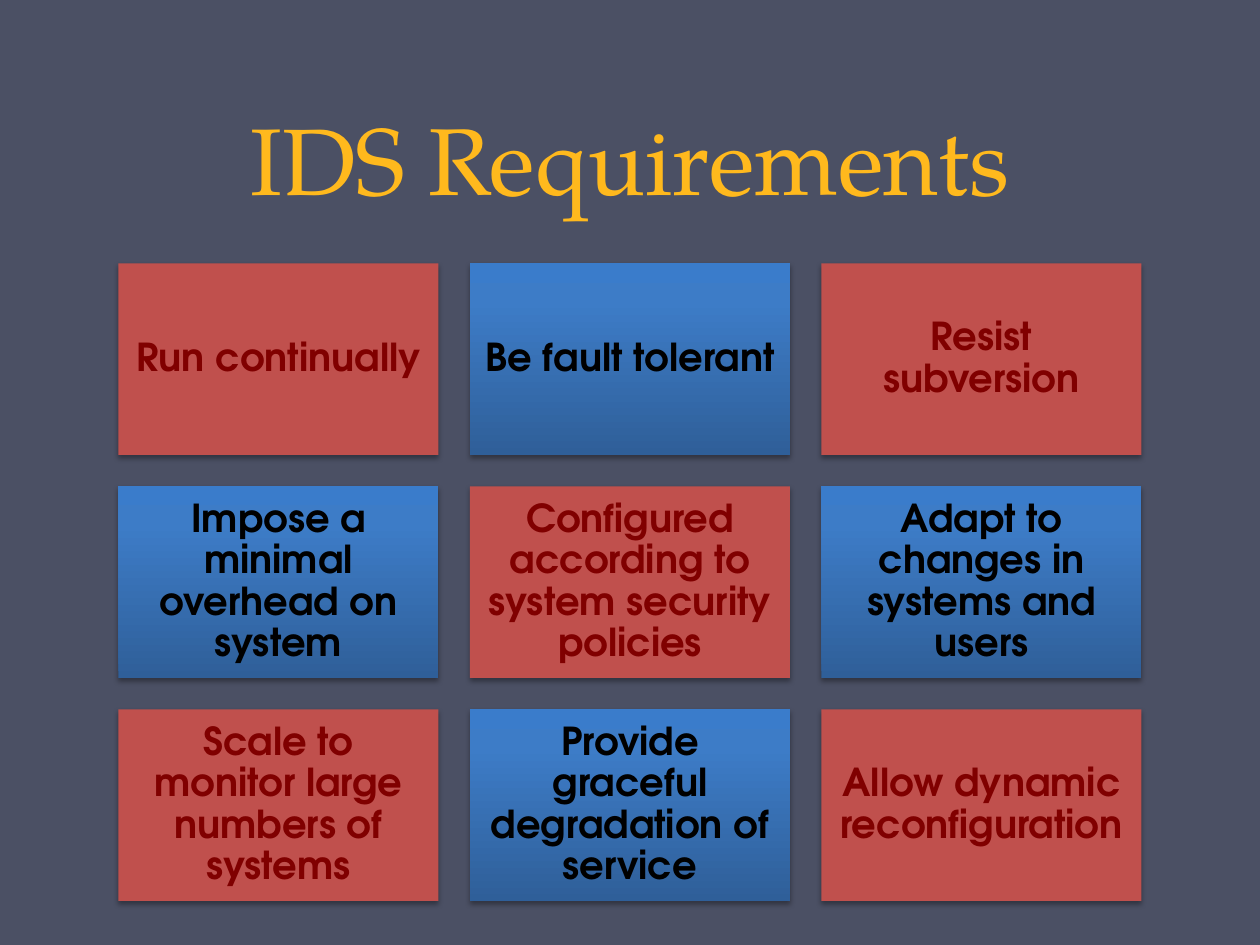
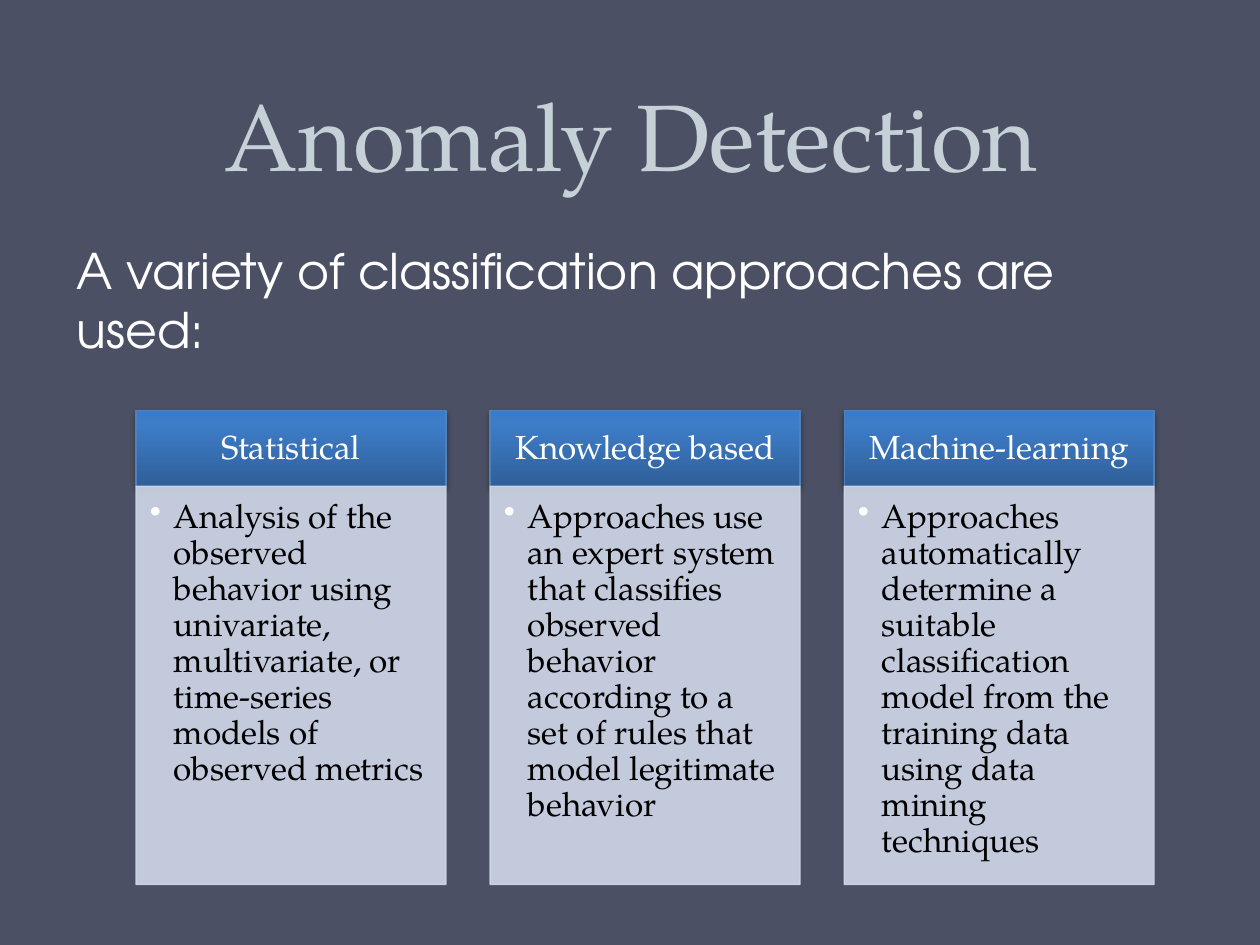
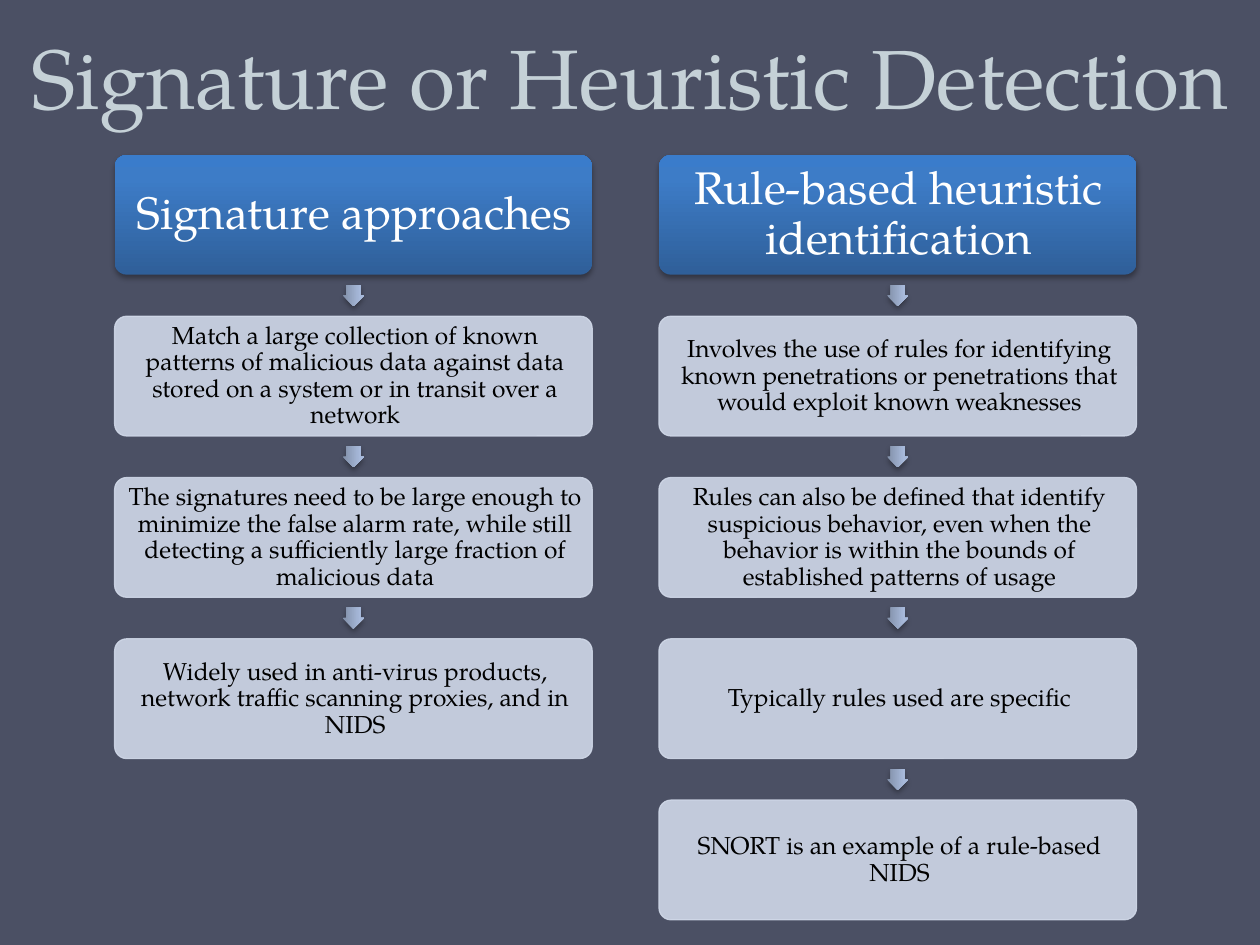
import pptx
import pptx.util
import pptx.dml.color
import pptx.enum.shapes
import pptx.enum.text
import pptx.oxml
import pptx.oxml.ns

Inches, Pt = pptx.util.Inches, pptx.util.Pt
RGB = pptx.dml.color.RGBColor.from_string
SHAPE = pptx.enum.shapes.MSO_SHAPE
ALIGN, ANCHOR = pptx.enum.text.PP_ALIGN, pptx.enum.text.MSO_ANCHOR
qn, nsdecls = pptx.oxml.ns.qn, pptx.oxml.ns.nsdecls

SERIF, SANS = "TeX Gyre Pagella", "TeX Gyre Adventor"
DEFAULT_INSETS = (0.1, 0.05, 0.1, 0.05)
CENTRED = {"align": ALIGN.CENTER, "anchor": ANCHOR.MIDDLE, "spacing": 0.9}
TITLE = {"align": ALIGN.CENTER, "anchor": ANCHOR.BOTTOM, "spacing": Pt(20.5), "insets": DEFAULT_INSETS}
TILE = {**CENTRED, "insets": (0.09,) * 4, "font": {"name": SANS, "size": Pt(22), "bold": True}}

THEME = {
    "background": "4B5064",
    "white": "FFFFFF",
    # A fill is a plain colour, or the stops of a gradient running upwards
    "fills": {
        "red": "C0504D",
        "blue": ((0, "2F5F99"), (80, "3D7CC7"), (100, "3A7CCB")),
        "arrow": ((0, "818FA8"), (80, "A7B9DA"), (100, "A7BADC")),
        "pale": "D0D8E8",
    },
    "header line": "4F81BD",
    "text": {
        "gold title": {**TITLE, "color": "FFB91D", "font": {"name": SERIF, "size": Pt(54)}},
        "title": {**TITLE, "color": "C5D1D7", "font": {"name": SERIF, "size": Pt(54)}},
        "long title": {**TITLE, "color": "C5D1D7", "font": {"name": SERIF, "size": Pt(48)}},
        "intro": {"align": ALIGN.LEFT, "anchor": ANCHOR.TOP, "spacing": 1.0, "insets": DEFAULT_INSETS,
                  "color": "FFFFFF", "font": {"name": SANS, "size": Pt(28)}},
        "red": {**TILE, "color": "800000"},
        "blue": {**TILE, "color": "000000"},
        "column header": {**CENTRED, "insets": (0.15, 0.08, 0.15, 0.08), "color": "FFFFFF",
                          "font": {"name": SERIF, "size": Pt(19)}},
        "column body": {"align": ALIGN.LEFT, "anchor": ANCHOR.TOP, "spacing": 0.9,
                        "insets": (0.11, 0.11, 0.15, 0.17), "color": "000000",
                        "font": {"name": SERIF, "size": Pt(19)}},
        "chain header": {**CENTRED, "insets": (0.06, 0.06, 0.04, 0.06), "color": "FFFFFF",
                         "font": {"name": SERIF, "size": Pt(26)}},
        "chain step": {**CENTRED, "insets": (0.05, 0.05, 0.02, 0.05), "color": "000000",
                       "font": {"name": SERIF, "size": Pt(14)}},
    },
}


def write(sp, at, text, style_name):
    """Place a shape and fill it with one paragraph in a theme text style."""
    style = THEME["text"][style_name]
    sp.left, sp.top, sp.width, sp.height = map(Inches, at)
    tf = sp.text_frame
    tf.word_wrap = True
    tf.auto_size = pptx.enum.text.MSO_AUTO_SIZE.NONE
    tf.vertical_anchor = style["anchor"]
    for side, inset in zip(("left", "top", "right", "bottom"), style["insets"]):
        setattr(tf, f"margin_{side}", Inches(inset))
    p = tf.paragraphs[0]
    p.alignment, p.line_spacing = style["align"], style["spacing"]
    r = p.add_run()
    r.text = text
    for name, value in style["font"].items():
        setattr(r.font, name, value)
    r.font.color.rgb = RGB(style["color"])
    return p


def add_box(s, kind, at, fill, line=None, adjustments=()):
    """Add a shape: pale ones are slightly see-through, all others cast a shadow."""
    sp = s.shapes.add_shape(kind, *map(Inches, at))
    for i, value in enumerate(adjustments):
        sp.adjustments[i] = value
    sp.shadow.inherit = False
    spPr = sp._element.spPr
    colour = THEME["fills"][fill]
    if isinstance(colour, str):
        sp.fill.solid()
        sp.fill.fore_color.rgb = RGB(colour)
    else:
        stops = "".join(f'<a:gs pos="{pos * 1000}"><a:srgbClr val="{c}"/></a:gs>' for pos, c in colour)
        sp.fill.background()
        spPr.replace(spPr.find(qn("a:noFill")), pptx.oxml.parse_xml(
            f'<a:gradFill {nsdecls("a")} rotWithShape="1"><a:gsLst>{stops}</a:gsLst>'
            '<a:lin ang="16200000" scaled="0"/></a:gradFill>'))
    if line:
        sp.line.color.rgb = RGB(line)
        sp.line.width = Pt(0.75)
    else:
        sp.line.fill.background()
    if fill == "pale":
        for clr in spPr.iter(qn("a:srgbClr")):
            clr.append(pptx.oxml.parse_xml(f'<a:alpha {nsdecls("a")} val="90000"/>'))
    else:
        spPr.find(qn("a:effectLst")).append(pptx.oxml.parse_xml(
            f'<a:outerShdw {nsdecls("a")} blurRad="40000" dist="23000" dir="5400000" rotWithShape="0">'
            '<a:srgbClr val="000000"><a:alpha val="35000"/></a:srgbClr></a:outerShdw>'))
    return sp


prs = pptx.Presentation()
prs.slide_width, prs.slide_height = Inches(10), Inches(7.5)
background = prs.slide_master.background.fill
background.solid()
background.fore_color.rgb = RGB(THEME["background"])
title_only = prs.slide_layouts[5]
pale = THEME["fills"]["pale"]

# Slide 1: checkerboard of requirements
s = prs.slides.add_slide(title_only)
write(s.shapes.title, (0.5, 0, 9, 1.75), "IDS Requirements", "gold title")
requirements = [
    "Run continually", "Be fault tolerant", "Resist subversion",
    "Impose a minimal overhead on system", "Configured according to system security policies",
    "Adapt to changes in systems and users",
    "Scale to monitor large numbers of systems", "Provide graceful degradation of service",
    "Allow dynamic reconfiguration",
]
tile_w, tile_h, gap = 2.54, 1.52, 0.25
for i, requirement in enumerate(requirements):
    row, col = divmod(i, 3)
    at = (0.94 + col * (tile_w + gap), 2.09 + row * (tile_h + gap), tile_w, tile_h)
    tone = ("red", "blue")[i % 2]
    write(add_box(s, SHAPE.RECTANGLE, at, tone), at, requirement, tone)

# Slide 2: three columns, each a header over a bulleted body
s = prs.slides.add_slide(title_only)
write(s.shapes.title, (0.51, -0.19, 9, 1.75), "Anomaly Detection", "title")
intro_at = (0.51, 1.86, 9, 1.06)
write(s.shapes.add_textbox(*map(Inches, intro_at)), intro_at,
      "A variety of classification approaches are used:", "intro")
approaches = {
    "Statistical": "Analysis of the observed behavior using univariate, multivariate, or time-series "
                   "models of observed metrics",
    "Knowledge based": "Approaches use an expert system that classifies observed behavior according to "
                       "a set of rules that model legitimate behavior",
    "Machine-learning": "Approaches automatically determine a suitable classification model from the "
                        "training data using data mining techniques",
}
top, header_h, column_w, body_h = 3.26, 0.6, 2.46, 3.16
for i, (header, body) in enumerate(approaches.items()):
    left = 1.08 + i * 2.81
    at = (left, top, column_w, header_h)
    write(add_box(s, SHAPE.RECTANGLE, at, "blue", THEME["header line"]), at, header, "column header")
    at = (left, top + header_h, column_w, body_h)
    p = write(add_box(s, SHAPE.RECTANGLE, at, "pale", pale), at, body, "column body")
    p.level = 1
    pPr = p._p.get_or_add_pPr()
    pPr.set("marL", str(Inches(0.19)))
    pPr.set("indent", str(Inches(-0.19)))
    for bullet in (f'<a:buClr {nsdecls("a")}><a:srgbClr val="{THEME["white"]}"/></a:buClr>',
                   f'<a:buChar {nsdecls("a")} char="•"/>'):
        pPr.append(pptx.oxml.parse_xml(bullet))

# Slide 3: two chains of boxes joined by block arrows
s = prs.slides.add_slide(title_only)
write(s.shapes.title, (0, -0.42, 10, 1.47), "Signature or Heuristic Detection", "long title")
chains = [
    ["Signature approaches",
     "Match a large collection of known patterns of malicious data against data stored on a system or "
     "in transit over a network",
     "The signatures need to be large enough to minimize the false alarm rate, while still detecting a "
     "sufficiently large fraction of malicious data",
     "Widely used in anti-virus products, network traffic scanning proxies, and in NIDS"],
    ["Rule-based heuristic identification",
     "Involves the use of rules for identifying known penetrations or penetrations that would exploit "
     "known weaknesses",
     "Rules can also be defined that identify suspicious behavior, even when the behavior is within the "
     "bounds of established patterns of usage",
     "Typically rules used are specific",
     "SNORT is an example of a rule-based NIDS"],
]
step_w, step_h, pitch, arrow = 3.79, 0.95, 1.28, 0.17
for i, chain in enumerate(chains):
    left = 0.91 + i * 4.32
    for j, step in enumerate(chain):
        at = (left, 1.23 + j * pitch, step_w, step_h)
        if j == 0:
            fill, line, style = "blue", None, "chain header"
        else:
            fill, line, style = "pale", pale, "chain step"
            arrow_at = (left + (step_w - arrow) / 2, at[1] - (pitch - step_h + arrow) / 2, arrow, arrow)
            add_box(s, SHAPE.RIGHT_ARROW, arrow_at, "arrow", adjustments=(0.67, 0.5)).rotation = 90
        write(add_box(s, SHAPE.ROUNDED_RECTANGLE, at, fill, line, (0.1,)), at, step, style)

prs.save("out.pptx")
